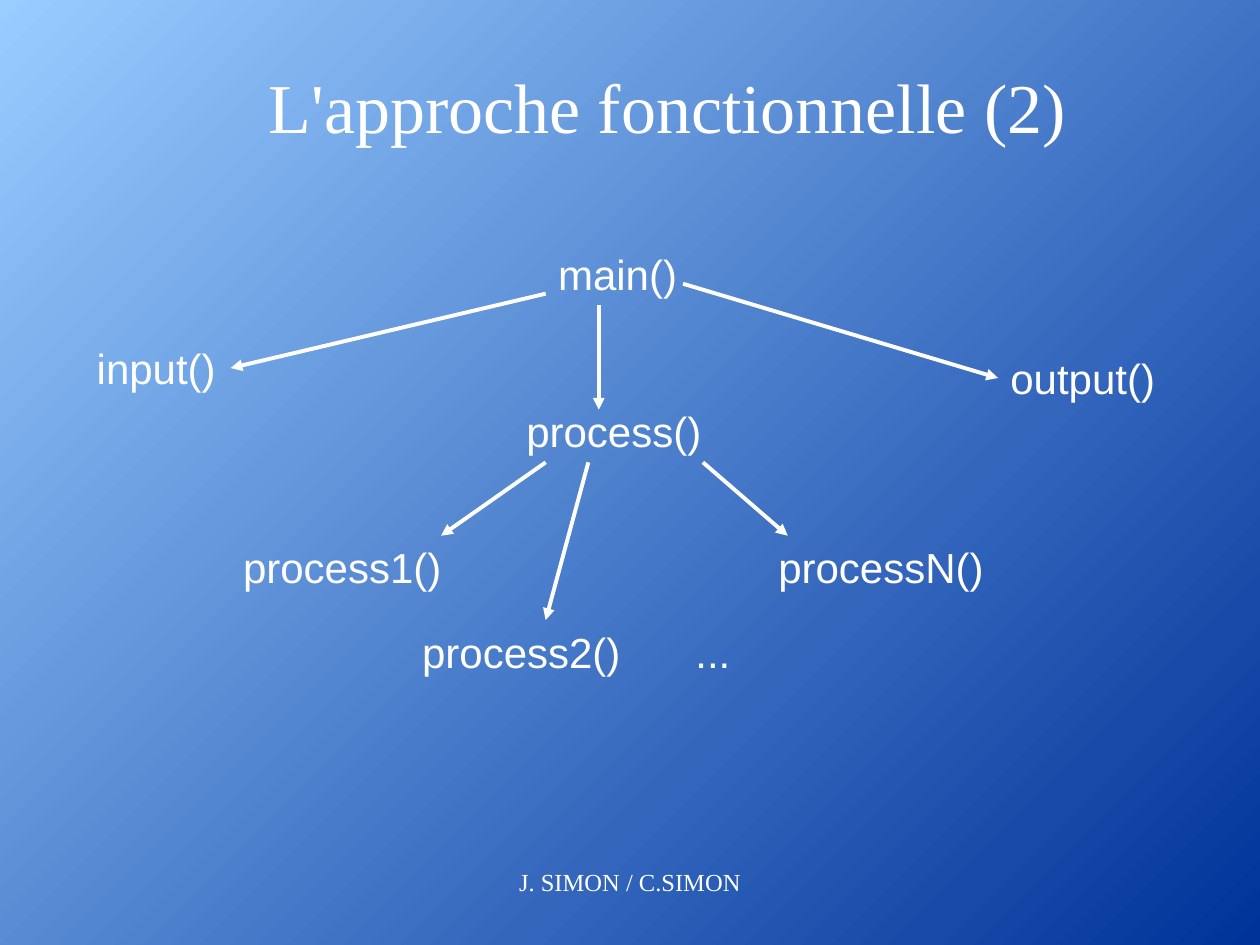
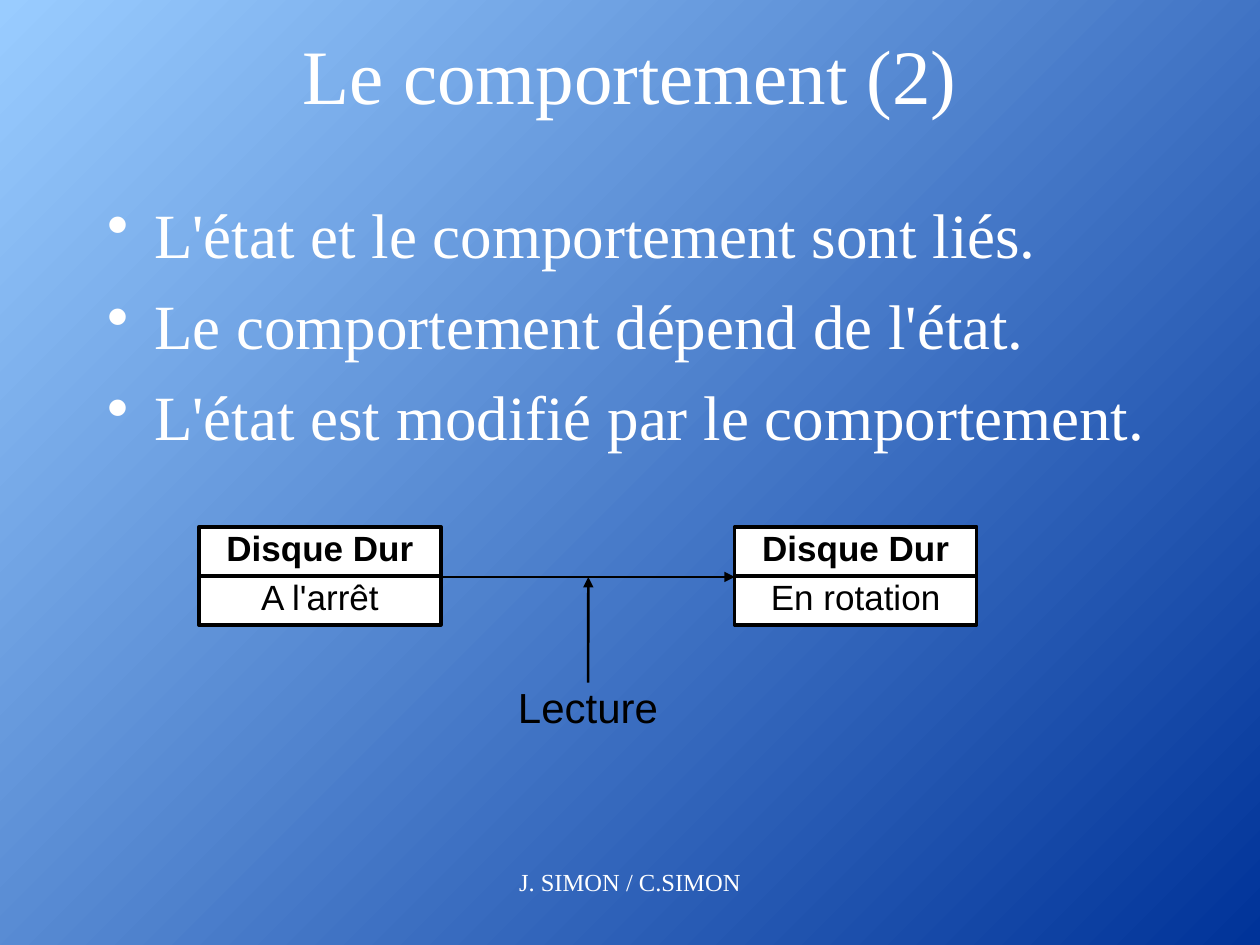
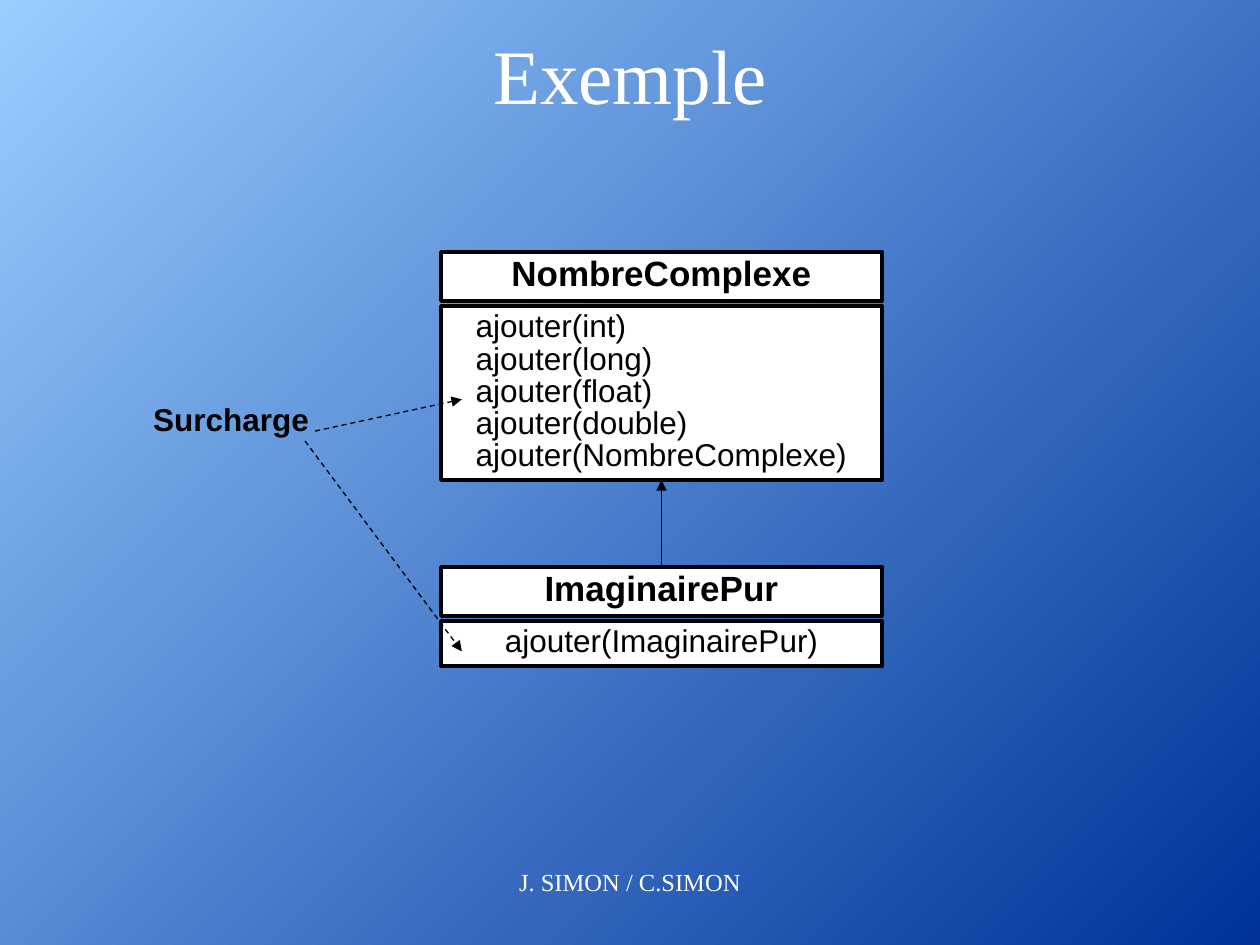
from dataclasses import dataclass

from lxml import etree
from pptx import Presentation
from pptx import util as u
from pptx.dml.color import RGBColor
from pptx.enum import dml, shapes, text
from pptx.oxml.ns import qn


@dataclass(frozen=True)
class Theme:
    deep: RGBColor = RGBColor.from_string("003399")
    sky: RGBColor = RGBColor.from_string("99CCFF")
    white: RGBColor = RGBColor.from_string("FFFFFF")
    black: RGBColor = RGBColor.from_string("000000")
    serif: str = "Times New Roman"
    sans: str = "Arial"
    title: int = 44
    long_title: int = 40
    body: int = 36
    node: int = 24
    heading: int = 20
    method: int = 18
    footer: int = 14
    before: int = 9
    tight: float = 0.85


theme = Theme()
LEFT, CENTER = text.PP_ALIGN.LEFT, text.PP_ALIGN.CENTER


def write(frame, lines, font, size, color, align=CENTER, bold=False, before=0, spacing=None):
    for number, line in enumerate(lines):
        paragraph = frame.paragraphs[0] if number == 0 else frame.add_paragraph()
        paragraph.alignment = align
        paragraph.space_before = u.Pt(before)
        paragraph.line_spacing = spacing
        run = paragraph.add_run()
        run.text = line
        run.font.name = font
        run.font.size = u.Pt(size)
        run.font.bold = bold
        run.font.color.rgb = color


def arrow(slide, start, end, color, width, dash=None):
    points = [u.Cm(value) for value in (*start, *end)]
    link = slide.shapes.add_connector(shapes.MSO_CONNECTOR.STRAIGHT, *points)
    link.line.color.rgb = color
    link.line.width = u.Pt(width)
    if dash:
        link.line.dash_style = dash
    properties = link._element.spPr
    etree.SubElement(properties.find(qn("a:ln")), qn("a:tailEnd"), type="triangle")
    etree.SubElement(properties, qn("a:effectLst"))
    return link


deck = Presentation()
deck.slide_width, deck.slide_height = u.Cm(25.4), u.Cm(19.05)

backdrop = deck.slide_master.background.fill
backdrop.gradient()
backdrop.gradient_angle = 135
for stop, color in zip(backdrop.gradient_stops, (theme.deep, theme.sky)):
    stop.color.rgb = color

title_places = [
    ("L'approche fonctionnelle (2)", theme.long_title, (4.88, 1.27, 17.15, 1.7)),
    ("Le comportement (2)", theme.title, (1.91, 0.64, 21.59, 1.7)),
    ("Exemple", theme.title, (1.91, 0.64, 21.59, 1.7)),
]
for wording, size, place in title_places:
    slide = deck.slides.add_slide(deck.slide_layouts[5])
    title = slide.shapes.title
    title.left, title.top, title.width, title.height = map(u.Cm, place)
    title.text_frame.auto_size = text.MSO_AUTO_SIZE.NONE
    title.text_frame.vertical_anchor = text.MSO_ANCHOR.MIDDLE
    write(title.text_frame, [wording], theme.serif, size, theme.white)
    footer = slide.shapes.add_textbox(*map(u.Cm, (7.62, 17.35, 10.16, 1.27)))
    footer.text_frame.word_wrap = True
    write(footer.text_frame, ["J. SIMON / C.SIMON"], theme.serif, theme.footer, theme.white)

functional, behaviour, example = deck.slides

functions = [
    ("main()", 11, 4.88, 2.9),
    ("input()", 1.7, 6.78, 2.9),
    ("output()", 20.12, 6.99, 3.43),
    ("process()", 10.36, 8.05, 4.04),
    ("process1()", 4.65, 10.8, 4.5),
    ("process2()", 8.26, 12.5, 4.5),
    ("...", 13.77, 12.5, 1.22),
    ("processN()", 15.44, 10.8, 4.65),
]
for name, left, top, width in functions:
    function = functional.shapes.add_textbox(*map(u.Cm, (left, top, width, 1.27)))
    function.text_frame.word_wrap = False
    function.text_frame.auto_size = text.MSO_AUTO_SIZE.SHAPE_TO_FIT_TEXT
    write(function.text_frame, [name], theme.sans, theme.node, theme.white, LEFT,
          before=theme.before)

calls = [
    ((11, 5.92), (4.65, 7.42)),
    ((12.07, 6.15), (12.07, 8.26)),
    ((13.77, 5.72), (20.12, 7.62)),
    ((11, 9.32), (8.89, 10.8)),
    ((11.86, 9.32), (11, 12.5)),
    ((14.17, 9.32), (15.88, 10.8)),
]
for caller, callee in calls:
    arrow(functional, caller, callee, theme.white, 2.25)

statements = behaviour.shapes.add_textbox(*map(u.Cm, (1.91, 3.81, 21.59, 7.19))).text_frame
statements.word_wrap = True
write(statements, [
    "L'état et le comportement sont liés.",
    "Le comportement dépend de l'état.",
    "L'état est modifié par le comportement.",
], theme.serif, theme.body, theme.white, LEFT, before=theme.before)
for statement in statements.paragraphs:
    settings = statement._p.get_or_add_pPr()
    settings.set("marL", str(u.Cm(0.95)))
    settings.set("indent", str(-u.Cm(0.95)))
    etree.SubElement(settings, qn("a:buChar"), char="•")

labels = [
    (behaviour, "Lecture", theme.node, False, (10.19, 13.76, 3.33, 1.12)),
    (example, "Surcharge", theme.method, True, (2.54, 8.05, 4.24, 0.91)),
]
label_boxes = []
for slide, wording, size, bold, place in labels:
    label = slide.shapes.add_textbox(*map(u.Cm, place))
    label.text_frame.word_wrap = False
    label.text_frame.vertical_anchor = text.MSO_ANCHOR.MIDDLE
    write(label.text_frame, [wording], theme.sans, size, theme.black, bold=bold,
          spacing=theme.tight)
    label_boxes.append(label)

reading = arrow(behaviour, (11.86, 13.76), (11.86, 11.63), theme.black, 1.5)
reading.begin_connect(label_boxes[0], 0)
arrow(behaviour, (8.89, 11.63), (14.81, 11.63), theme.black, 1.5)

complex_methods = [f"ajouter({kind})" for kind in
                   ("int", "long", "float", "double", "NombreComplexe")]
classes = [
    (behaviour, "Disque Dur", ["A l'arrêt"], theme.heading, 4.01, 10.62, 4.88, 0.99, 0.99),
    (behaviour, "Disque Dur", ["En rotation"], theme.heading, 14.81, 10.62, 4.88, 0.99, 0.99),
    (example, "NombreComplexe", complex_methods, theme.method, 8.89, 5.08, 8.89, 1.09, 3.51),
    (example, "ImaginairePur", ["ajouter(ImaginairePur)"], theme.method,
     8.89, 11.43, 8.89, 1.09, 0.91),
]
class_boxes = []
for slide, name, members, member_size, left, top, width, step, depth in classes:
    compartments = [
        ([name], theme.heading, True, top, 0.99),
        (members, member_size, False, top + step, depth),
    ]
    for lines, size, bold, box_top, height in compartments:
        box = slide.shapes.add_shape(shapes.MSO_SHAPE.RECTANGLE,
                                     *map(u.Cm, (left, box_top, width, height)))
        box.shadow.inherit = False
        box.fill.solid()
        box.fill.fore_color.rgb = theme.white
        box.line.color.rgb = theme.black
        box.line.width = u.Pt(2)
        box.text_frame.vertical_anchor = text.MSO_ANCHOR.TOP
        if len(lines) > 1:
            box.text_frame.margin_left = u.Cm(0.7)
        write(box.text_frame, lines, theme.sans, size, theme.black,
              LEFT if len(lines) > 1 else CENTER, bold, spacing=theme.tight)
        class_boxes.append(box)

complex_members, imaginary_heading = class_boxes[5:7]
inheritance = arrow(example, (13.34, 11.43), (13.34, 9.68), theme.black, 0.75)
inheritance.begin_connect(imaginary_heading, 0)
inheritance.end_connect(complex_members, 2)

for start, end in [((6.35, 8.69), (9.31, 8.05)), ((6.15, 8.89), (9.31, 13.13))]:
    arrow(example, start, end, theme.black, 0.75, dml.MSO_LINE.DASH)

deck.save("out.pptx")
